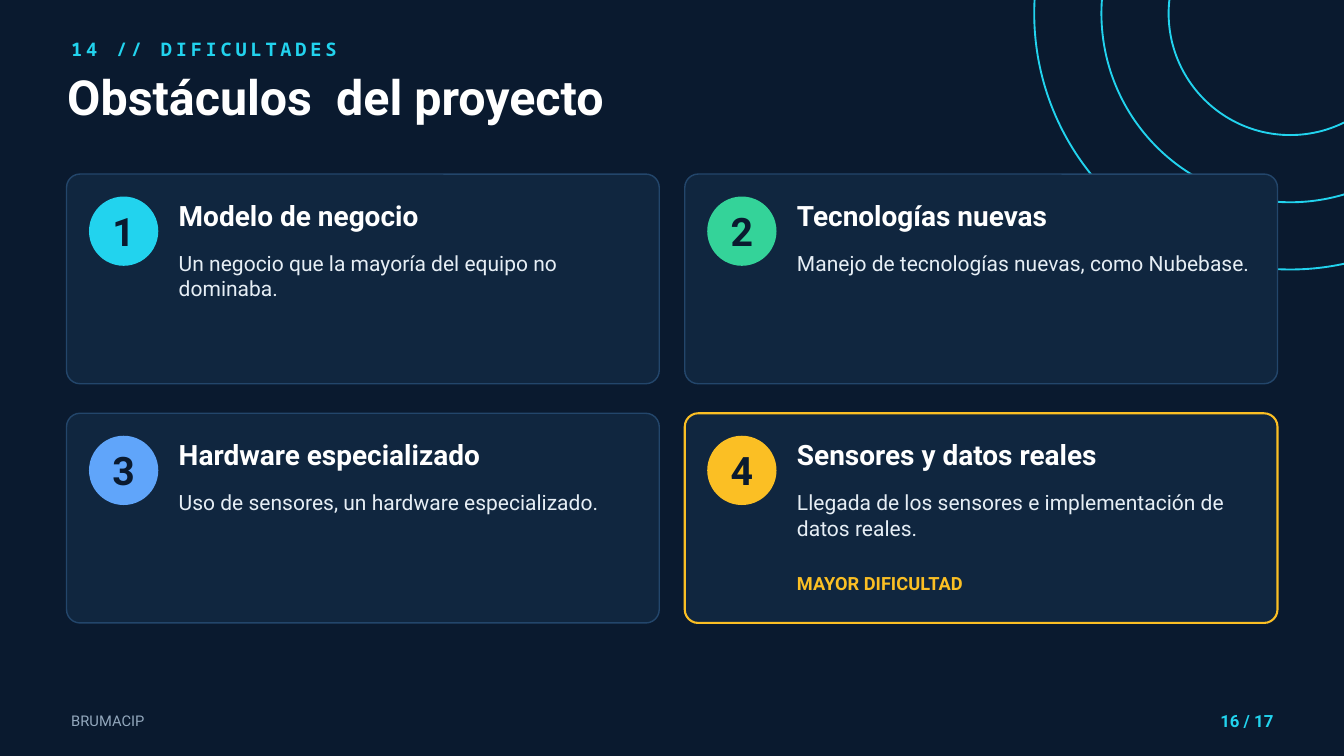
from pptx import Presentation, util as u
from pptx.dml.color import RGBColor
from pptx.enum import shapes, text

WIDE, HIGH = 20, 11.25
HUES = {
    "night": "0A1A2F", "panel": "10263F", "edge": "23466B",
    "cyan": "22D3EE", "green": "34D399", "blue": "60A5FA", "amber": "FBBF24",
    "white": "FFFFFF", "pale": "E6EEF5", "grey": "93A8BD",
}
LEFT, TOP = 0.99, 2.59        # corner of the card grid
CARD_W, CARD_H = 8.82, 3.12
STEP_X, STEP_Y = 9.2, 3.56
COLS = 2
INSET = 1.67                  # from card edge to its text
TEXT_W = 6.88

CARDS = [
    ("Modelo de negocio", "Un negocio que la mayoría del equipo no dominaba.",
     "cyan", None),
    ("Tecnologías nuevas", "Manejo de tecnologías nuevas, como Nubebase.",
     "green", None),
    ("Hardware especializado", "Uso de sensores, un hardware especializado.",
     "blue", None),
    ("Sensores y datos reales",
     "Llegada de los sensores e implementación de datos reales.",
     "amber", "MAYOR DIFICULTAD"),
]


def hue(name):
    return RGBColor.from_string(HUES[name])


def shape(slide, kind, box, line, width, fill=None):
    item = slide.shapes.add_shape(kind, *map(u.Inches, box))
    item.shadow.inherit = False
    if fill:
        item.fill.solid()
        item.fill.fore_color.rgb = hue(fill)
    else:
        item.fill.background()
    item.line.color.rgb = hue(line)
    item.line.width = u.Pt(width)
    return item


def disc(slide, x, y, radius, line, width, fill=None):
    """Draw a circle around the centre (x, y)."""
    box = (x - radius, y - radius, 2 * radius, 2 * radius)
    shape(slide, shapes.MSO_SHAPE.OVAL, box, line, width, fill)


def label(slide, words, box, size, color, bold=True, lead=None,
          align=text.PP_ALIGN.LEFT, face="Roboto", track=0):
    """Add one paragraph; lead is the line pitch and track the letter gap, in points."""
    frame = slide.shapes.add_textbox(*map(u.Inches, box)).text_frame
    frame.word_wrap = True
    frame.margin_left = frame.margin_right = 0
    frame.margin_top = frame.margin_bottom = 0
    para = frame.paragraphs[0]
    para.text = words
    para.alignment = align
    para.line_spacing = u.Pt(lead or size * 1.2)
    font = para.font
    font.name, font.size, font.bold = face, u.Pt(size), bold
    font.color.rgb = hue(color)
    if track:
        font._rPr.set("spc", str(track * 100))


def card(slide, index, title, body, color, note):
    row, col = divmod(index, COLS)
    x, y = LEFT + col * STEP_X, TOP + row * STEP_Y
    line, width = (color, 2.25) if note else ("edge", 1.5)
    panel = shape(slide, shapes.MSO_SHAPE.ROUNDED_RECTANGLE,
                  (x, y, CARD_W, CARD_H), line, width, "panel")
    panel.adjustments[0] = 0.2 / CARD_H
    disc(slide, x + 0.85, y + 0.85, 0.5, color, 2.25, color)
    label(slide, str(index + 1), (x + 0.35, y + 0.49, 1, 0.72), 42, "night",
          align=text.PP_ALIGN.CENTER)
    label(slide, title, (x + INSET, y + 0.36, TEXT_W, 0.52), 30, "white")
    label(slide, body, (x + INSET, y + 1.14, TEXT_W, 0.77), 22.5, "pale",
          bold=False)
    if note:
        label(slide, note, (x + INSET, y + 2.37, TEXT_W, 0.34), 19.5, color)


def main():
    deck = Presentation()
    deck.slide_width, deck.slide_height = u.Inches(WIDE), u.Inches(HIGH)
    slide = deck.slides.add_slide(deck.slide_layouts[6])
    back = slide.background.fill
    back.solid()
    back.fore_color.rgb = hue("night")

    for ring in range(3):
        disc(slide, 19.2, 0.2, 1.81 + ring, "cyan", 2)

    label(slide, "14 // DIFICULTADES", (1.06, 0.56, 11.89, 0.39), 20, "cyan",
          face="Noto Sans Mono", track=4)
    label(slide, "Obstáculos  del proyecto", (1, 1, 14.58, 0.9), 51.8, "white",
          lead=62.1)
    for index, item in enumerate(CARDS):
        card(slide, index, *item)
    label(slide, "BRUMACIP", (1.06, 10.59, 11.89, 0.27), 15.8, "grey",
          bold=False, lead=18.9)
    label(slide, "16 / 17", (16.66, 10.57, 2.29, 0.31), 18, "cyan",
          align=text.PP_ALIGN.RIGHT)
    deck.save("out.pptx")


if __name__ == "__main__":
    main()
